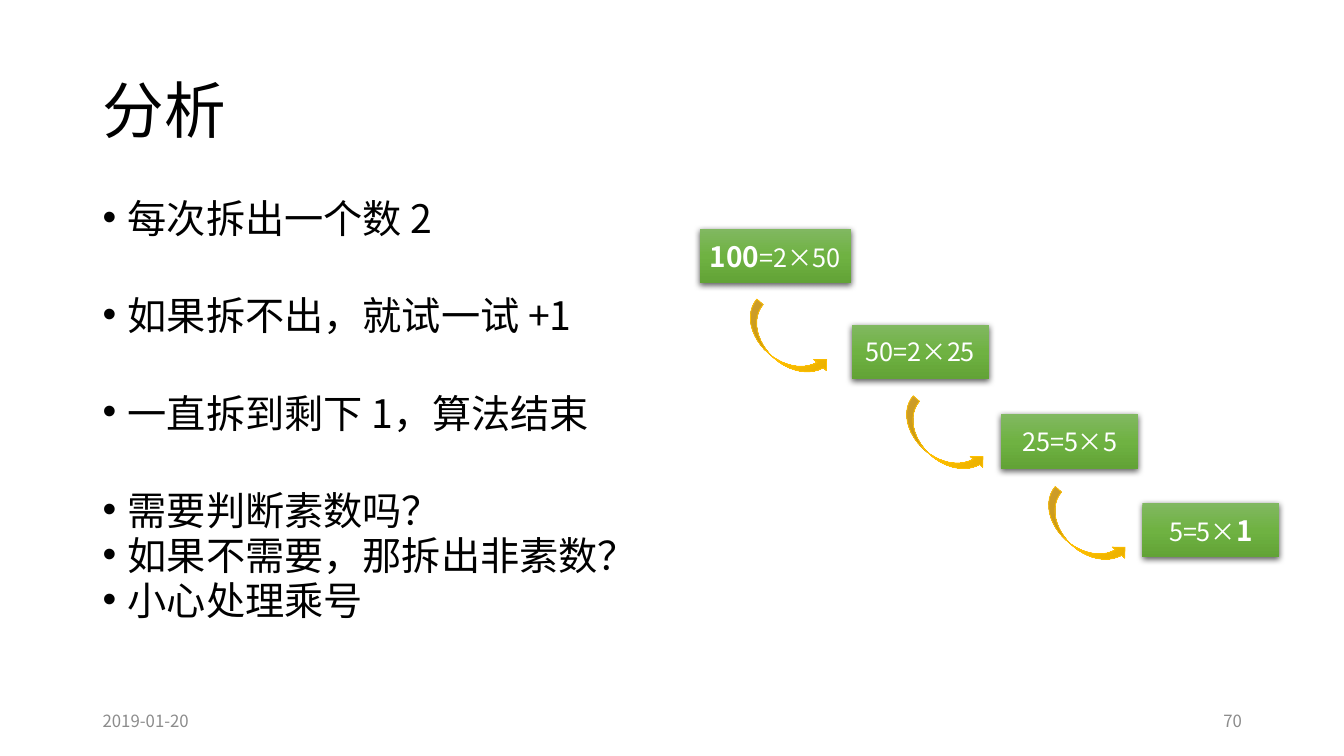
import pptx
import pptx.dml.color
import pptx.enum.shapes
import pptx.enum.text
import pptx.oxml
import pptx.oxml.ns
import pptx.util

FONT = "Noto Sans CJK SC"
BLACK = pptx.dml.color.RGBColor(0x00, 0x00, 0x00)
GRAY = pptx.dml.color.RGBColor(0x8C, 0x8C, 0x8C)
WHITE = pptx.dml.color.RGBColor(0xFF, 0xFF, 0xFF)
GOLD = pptx.dml.color.RGBColor(0xFF, 0xC0, 0x00)
LIGHT_GOLD = pptx.dml.color.RGBColor(0xFF, 0xC6, 0x4B)
DARK_GOLD = pptx.dml.color.RGBColor(0xE3, 0xAB, 0x00)
LIGHT_GREEN = pptx.dml.color.RGBColor(0x81, 0xB8, 0x61)
GREEN = pptx.dml.color.RGBColor(0x6F, 0xB2, 0x42)
DARK_GREEN = pptx.dml.color.RGBColor(0x62, 0xA3, 0x36)
NS = pptx.oxml.ns.nsdecls("a")
ANCHOR = pptx.enum.text.MSO_ANCHOR
ALIGN = pptx.enum.text.PP_ALIGN
SHAPE = pptx.enum.shapes.MSO_SHAPE

deck = pptx.Presentation()
deck.slide_width = pptx.util.Inches(13.33)
deck.slide_height = pptx.util.Inches(7.5)
page = deck.slides.add_slide(deck.slide_layouts[6])
# The grid has 100 columns and 100 rows.
column = deck.slide_width / 100
row = deck.slide_height / 100


def format_span(span, size, color, bold=False):
    span.font.name = FONT
    span.font.size = pptx.util.Pt(size)
    span.font.color.rgb = color
    span.font.bold = bold
    east_asian = pptx.oxml.parse_xml(f'<a:ea {NS} typeface="{FONT}"/>')
    span.font._element.find(pptx.oxml.ns.qn("a:latin")).addnext(east_asian)


def add_gradient_shape(kind, left, top, width, height, colors):
    """Add a shape filled from top to bottom with three colours."""
    shape = page.shapes.add_shape(
        kind, int(left * column), int(top * row), int(width * column), int(height * row))
    shape.shadow.inherit = False
    stops = "".join(
        f'<a:gs pos="{position}"><a:srgbClr val="{color}"/></a:gs>'
        for position, color in zip((0, 50000, 100000), colors))
    fill = pptx.oxml.parse_xml(
        f'<a:gradFill {NS} rotWithShape="1"><a:gsLst>{stops}</a:gsLst>'
        '<a:lin ang="5400000" scaled="0"/></a:gradFill>')
    shape._element.spPr.find(pptx.oxml.ns.qn("a:prstGeom")).addnext(fill)
    return shape


# Title, date and page number
for text, left, top, width, height, size, color, align in (
    ("分析", 6.9, 5.32, 86.25, 19.33, 44, BLACK, ALIGN.LEFT),
    ("2019-01-20", 6.9, 92.69, 22.5, 5.32, 12, GRAY, ALIGN.LEFT),
    ("70", 70.65, 92.69, 22.5, 5.32, 12, GRAY, ALIGN.RIGHT),
):
    box = page.shapes.add_textbox(
        int(left * column), int(top * row), int(width * column), int(height * row))
    box.text_frame.word_wrap = True
    box.text_frame.vertical_anchor = ANCHOR.MIDDLE
    box.text_frame.text = text
    para = box.text_frame.paragraphs[0]
    para.alignment = align
    para.line_spacing = 0.9 if size == 44 else 1.0
    format_span(para.runs[0], size, color)

# Bullet list: the first points stand two line pitches apart
LINE_GAP, POINT_GAP = 8, 45.2
points = (
    ("每次拆出一个数 2", LINE_GAP),
    ("如果拆不出，就试一试 +1", POINT_GAP),
    ("一直拆到剩下 1，算法结束", POINT_GAP),
    ("需要判断素数吗？", POINT_GAP),
    ("如果不需要，那拆出非素数？", LINE_GAP),
    ("小心处理乘号", LINE_GAP),
)
box = page.shapes.add_textbox(
    int(6.9 * column), int(26.67 * row), int(42.5 * column), int(63.44 * row))
box.text_frame.word_wrap = True
box.text_frame.text = "\n".join(text for text, gap in points)
for para, (text, gap) in zip(box.text_frame.paragraphs, points):
    para.line_spacing = 0.72
    para.space_before = pptx.util.Pt(gap)
    format_span(para.runs[0], 28, BLACK)
    properties = para._p.get_or_add_pPr()
    properties.set("marL", str(pptx.util.Inches(0.25)))
    properties.set("indent", str(pptx.util.Inches(-0.25)))
    properties.append(pptx.oxml.parse_xml(f'<a:buFont {NS} typeface="Arial"/>'))
    properties.append(pptx.oxml.parse_xml(f'<a:buChar {NS} char="•"/>'))

# Factoring steps; the bold spans are the start and end numbers
for left, top, width, pieces in (
    (52.06, 30.27, 11.25, (("100", True), ("=2×50", False))),
    (63.39, 42.93, 10.2, (("50=2×25", False),)),
    (74.49, 54.8, 10.2, (("25=5×5", False),)),
    (85, 66.53, 10.2, (("5=5×", False), ("1", True))),
):
    step = add_gradient_shape(SHAPE.FLOWCHART_PROCESS, left, top, width, 7.2,
                              (LIGHT_GREEN, GREEN, DARK_GREEN))
    step.line.fill.background()
    effects = step._element.spPr.find(pptx.oxml.ns.qn("a:effectLst"))
    effects.append(pptx.oxml.parse_xml(
        f'<a:outerShdw {NS} blurRad="57150" dist="19050" dir="5400000" algn="ctr" '
        'rotWithShape="0"><a:srgbClr val="000000"><a:alpha val="63000"/></a:srgbClr>'
        '</a:outerShdw>'))
    step.text_frame.word_wrap = False
    step.text_frame.vertical_anchor = ANCHOR.MIDDLE
    para = step.text_frame.paragraphs[0]
    para.alignment = ALIGN.CENTER
    for text, bold in pieces:
        span = para.add_run()
        span.text = text
        format_span(span, 20 if bold else 18, WHITE, bold)

# Arrows from each step to the next
for left, top in ((57.09, 38.93), (68.72, 51.73), (79.29, 63.73)):
    arrow = add_gradient_shape(SHAPE.CURVED_RIGHT_ARROW, left, top, 2.48, 13.33,
                               (LIGHT_GOLD, GOLD, DARK_GOLD))
    arrow.rotation = 311
    arrow.line.color.rgb = GOLD
    arrow.line.width = pptx.util.Pt(0.5)

deck.save("out.pptx")
